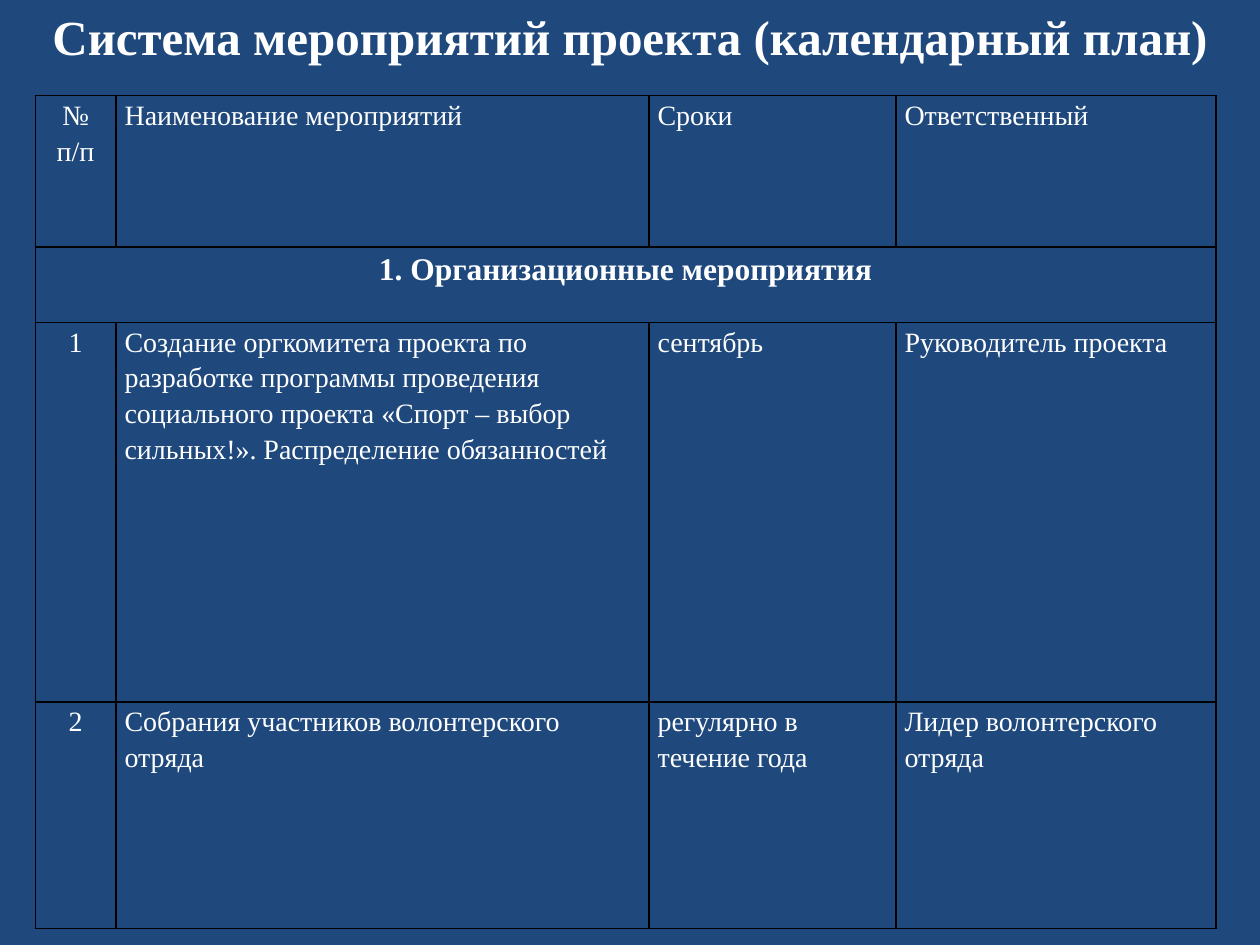
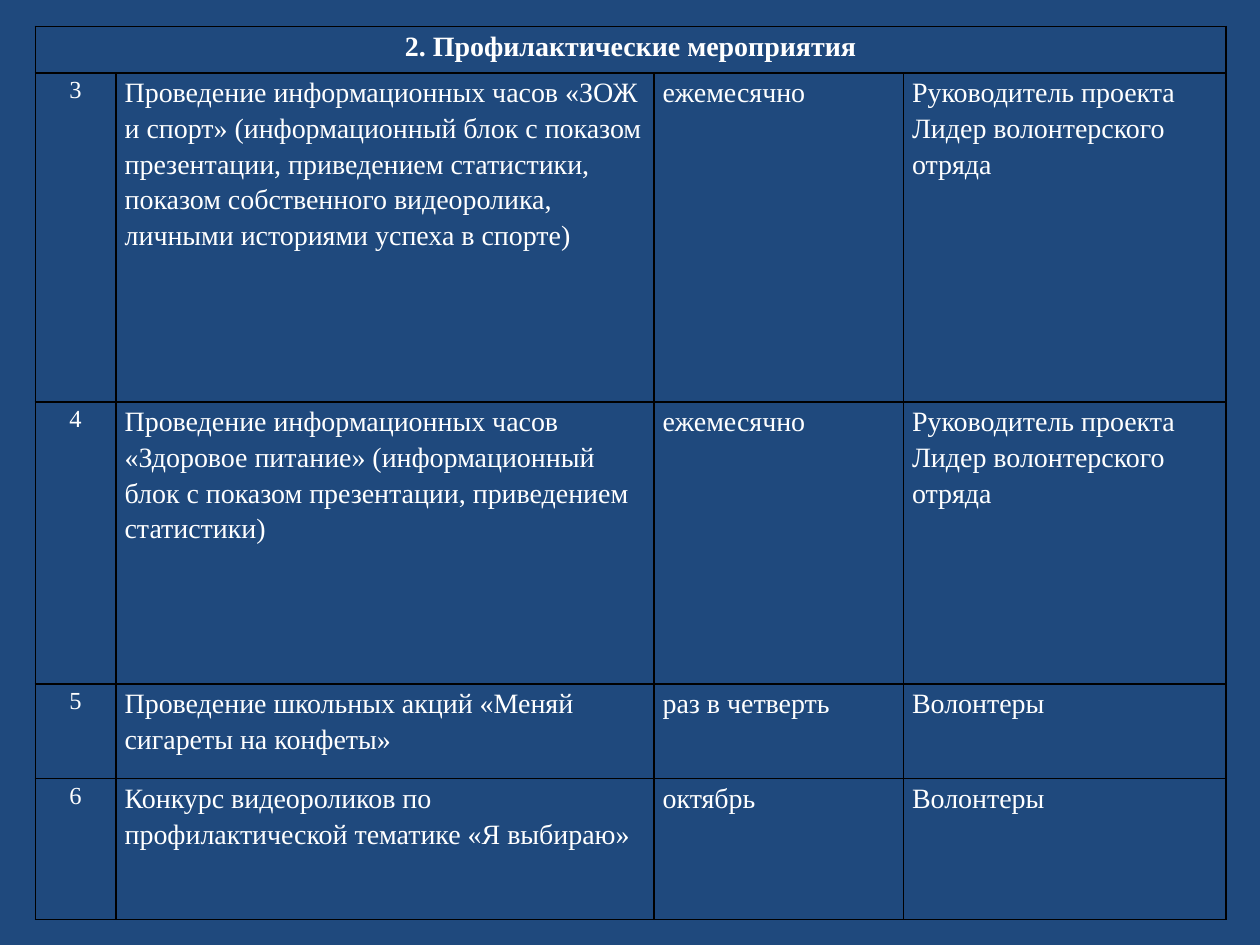
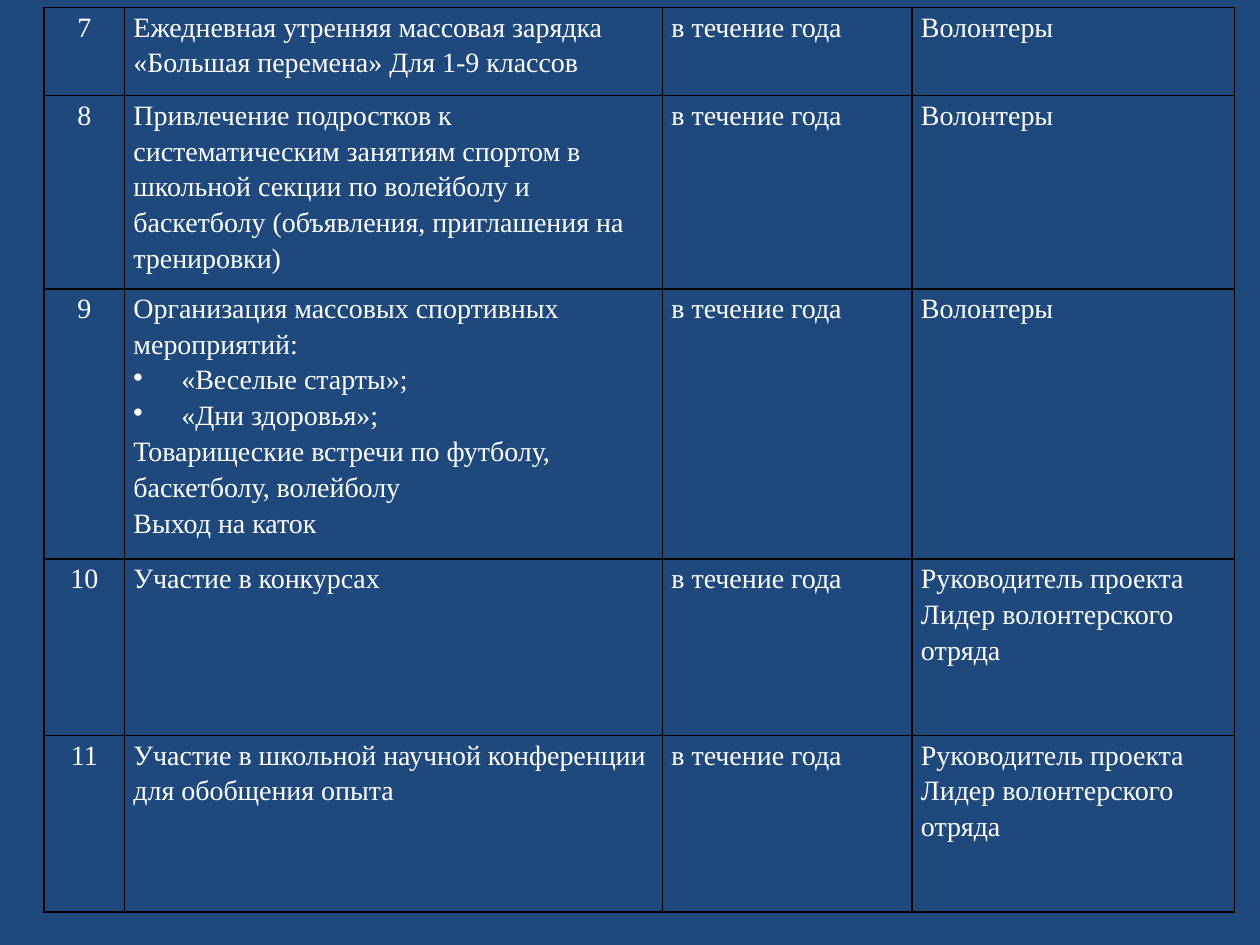
import pptx
import pptx.dml.color
import pptx.enum.text
import pptx.oxml
import pptx.oxml.ns
import pptx.util
from lxml import etree

Inches, Pt = pptx.util.Inches, pptx.util.Pt
qn = pptx.oxml.ns.qn
ALIGN = pptx.enum.text.PP_ALIGN

BACKGROUND, TEXT, BORDER = "1F497D", "FFFFFF", "000000"
FONT = "Times New Roman"
BODY_SIZE = 16
BULLET = "• "
BULLET_INDENT = Inches(0.38)

LEADER = "Руководитель проекта"
VOLUNTEER_LEADER = "Лидер волонтерского отряда"
BOTH_LEADERS = LEADER + "\n" + VOLUNTEER_LEADER
VOLUNTEERS = "Волонтеры"
MONTHLY = "ежемесячно"
ALL_YEAR = "в течение года"

# A row with a single entry is a section heading across the whole table.
PLAN_START = [
    ("№ п/п", "Наименование мероприятий", "Сроки", "Ответственный"),
    ("1. Организационные мероприятия",),
    ("1", "Создание оргкомитета проекта по разработке программы проведения "
          "социального проекта «Спорт – выбор сильных!». "
          "Распределение обязанностей", "сентябрь", LEADER),
    ("2", "Собрания участников волонтерского отряда",
     "регулярно в течение года", VOLUNTEER_LEADER),
]
PREVENTION = [
    ("2. Профилактические мероприятия",),
    ("3", "Проведение информационных часов «ЗОЖ и спорт» (информационный блок "
          "с показом презентации, приведением статистики, показом собственного "
          "видеоролика, личными историями успеха в спорте)",
     MONTHLY, BOTH_LEADERS),
    ("4", "Проведение информационных часов «Здоровое питание» (информационный "
          "блок с показом презентации, приведением статистики)",
     MONTHLY, BOTH_LEADERS),
    ("5", "Проведение школьных акций «Меняй сигареты на конфеты»",
     "раз в четверть", VOLUNTEERS),
    ("6", "Конкурс видеороликов по профилактической тематике «Я выбираю»",
     "октябрь", VOLUNTEERS),
]
SPORT = [
    ("7", "Ежедневная утренняя массовая зарядка «Большая перемена» "
          "Для 1-9 классов", ALL_YEAR, VOLUNTEERS),
    ("8", "Привлечение подростков к систематическим занятиям спортом в "
          "школьной секции по волейболу и баскетболу (объявления, приглашения "
          "на тренировки)", ALL_YEAR, VOLUNTEERS),
    ("9", "Организация массовых спортивных мероприятий:\n"
          "• «Веселые старты»;\n"
          "• «Дни здоровья»;\n"
          "Товарищеские встречи по футболу, баскетболу, волейболу\n"
          "Выход на каток", ALL_YEAR, VOLUNTEERS),
    ("10", "Участие в конкурсах", ALL_YEAR, BOTH_LEADERS),
    ("11", "Участие в школьной научной конференции для обобщения опыта",
     ALL_YEAR, BOTH_LEADERS),
]
START_COLS = (0.64, 4.23, 1.96, 2.54)
WIDE_COLS = (0.64, 4.27, 1.98, 2.56)


def color(hex_value):
    return pptx.dml.color.RGBColor.from_string(hex_value)


def format_runs(p, size, bold=False):
    for r in p.runs:
        r.font.name = FONT
        r.font.size = Pt(size)
        r.font.bold = bold
        r.font.color.rgb = color(TEXT)


def add_slide(prs):
    slide = prs.slides.add_slide(prs.slide_layouts[6])
    slide.background.fill.solid()
    slide.background.fill.fore_color.rgb = color(BACKGROUND)
    return slide


def add_title(slide, text, left, top, width, height):
    tf = slide.shapes.add_textbox(
        Inches(left), Inches(top), Inches(width), Inches(height)).text_frame
    tf.word_wrap = True
    p = tf.paragraphs[0]
    p.text = text
    p.alignment = ALIGN.CENTER
    p.space_before = Pt(5.6)
    format_runs(p, 28, bold=True)


def add_bullet(p):
    pPr = p._p.get_or_add_pPr()
    pPr.set("marL", str(BULLET_INDENT))
    pPr.set("indent", str(-BULLET_INDENT))
    etree.SubElement(pPr, qn("a:buChar")).set("char", BULLET.strip())


def style_cell(cell):
    cell.margin_left = cell.margin_right = Inches(0.07)
    cell.margin_top = cell.margin_bottom = 0
    cell.fill.background()
    # Border lines come before the fill in the cell properties
    tcPr = cell._tc.get_or_add_tcPr()
    for i, side in enumerate(("lnL", "lnR", "lnT", "lnB")):
        ln = etree.Element(qn("a:" + side), w=str(Pt(1)))
        fill = etree.SubElement(ln, qn("a:solidFill"))
        etree.SubElement(fill, qn("a:srgbClr")).set("val", BORDER)
        tcPr.insert(i, ln)


def write_cell(cell, text, size, centered=False, bold=False):
    tf = cell.text_frame
    tf.text = text
    for p in tf.paragraphs:
        p.line_spacing = 1.15
        p.alignment = ALIGN.CENTER if centered else ALIGN.LEFT
        if p.text.startswith(BULLET):
            p.text = p.text.removeprefix(BULLET)
            add_bullet(p)
        format_runs(p, size, bold)


def add_plan(slide, rows, left, top, col_widths, row_heights,
             number_size=BODY_SIZE, section_size=BODY_SIZE):
    table = slide.shapes.add_table(
        len(rows), len(col_widths), Inches(left), Inches(top),
        Inches(sum(col_widths)), Inches(sum(row_heights))).table
    table.first_row = table.horz_banding = False
    for column, width in zip(table.columns, col_widths):
        column.width = Inches(width)
    for i, (texts, height) in enumerate(zip(rows, row_heights)):
        row = table.rows[i]
        row.height = Inches(height)
        for cell in row.cells:
            style_cell(cell)
        if len(texts) == 1:
            table.cell(i, 0).merge(table.cell(i, len(col_widths) - 1))
            write_cell(table.cell(i, 0), texts[0], section_size, True, True)
            continue
        for j, text in enumerate(texts):
            size = number_size if j == 0 else BODY_SIZE
            write_cell(table.cell(i, j), text, size, centered=j == 0)


def main():
    prs = pptx.Presentation()
    prs.slide_width, prs.slide_height = Inches(10), Inches(7.5)

    # Organisation
    slide = add_slide(prs)
    add_title(slide, "Система мероприятий проекта (календарный план)",
              0, 0, 10, 7.5)
    add_plan(slide, PLAN_START, 0.28, 0.76, START_COLS, (1.2, 0.6, 3.01, 1.8),
             section_size=18)

    # Prevention
    add_plan(add_slide(prs), PREVENTION, 0.28, 0.21, WIDE_COLS,
             (0.37, 2.61, 2.24, 0.75, 1.12), number_size=14)

    # Sport and results
    add_plan(add_slide(prs), SPORT, 0.35, 0.06, WIDE_COLS,
             (0.7, 1.49, 2.09, 1.4, 1.4))

    prs.save("out.pptx")


if __name__ == "__main__":
    main()
